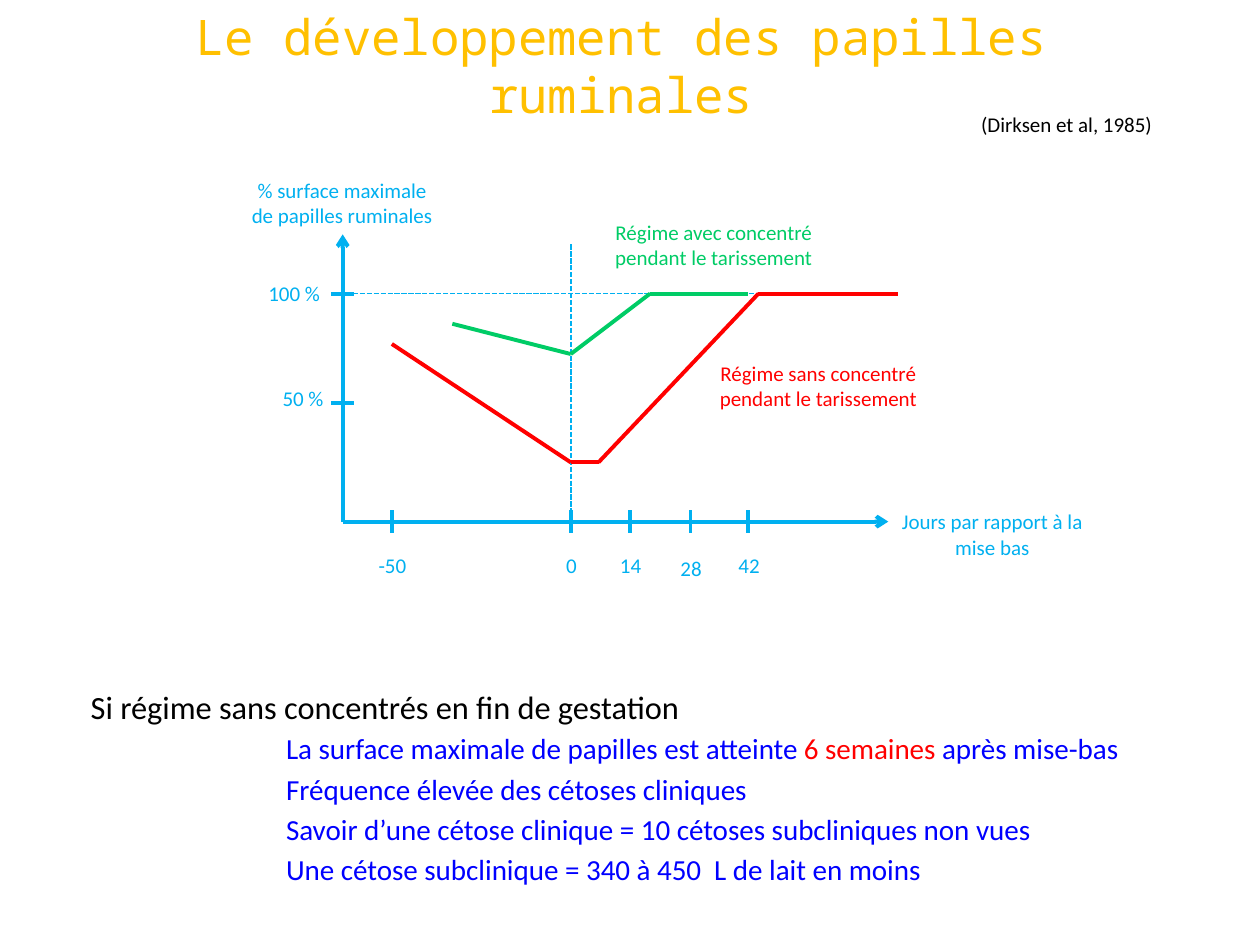
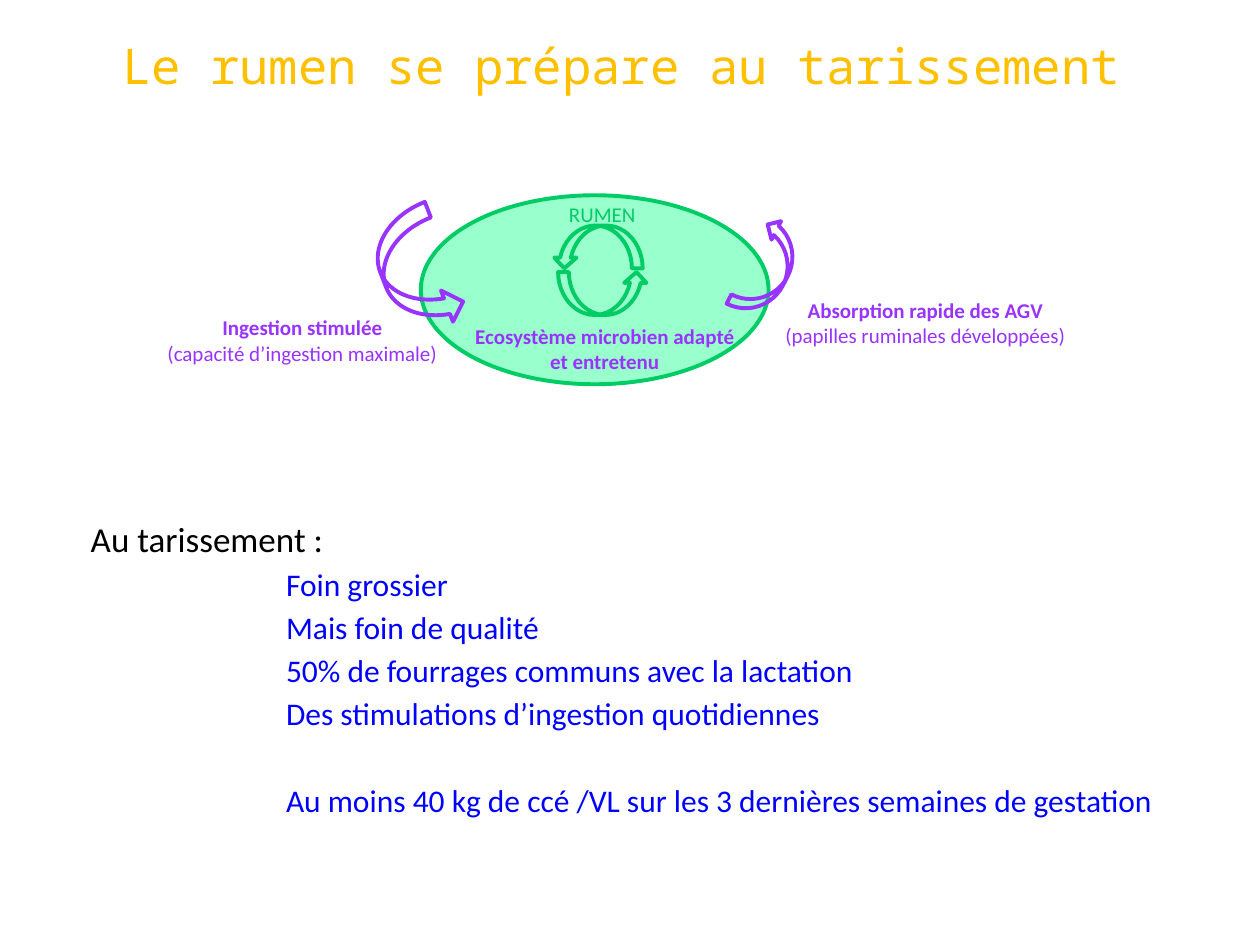
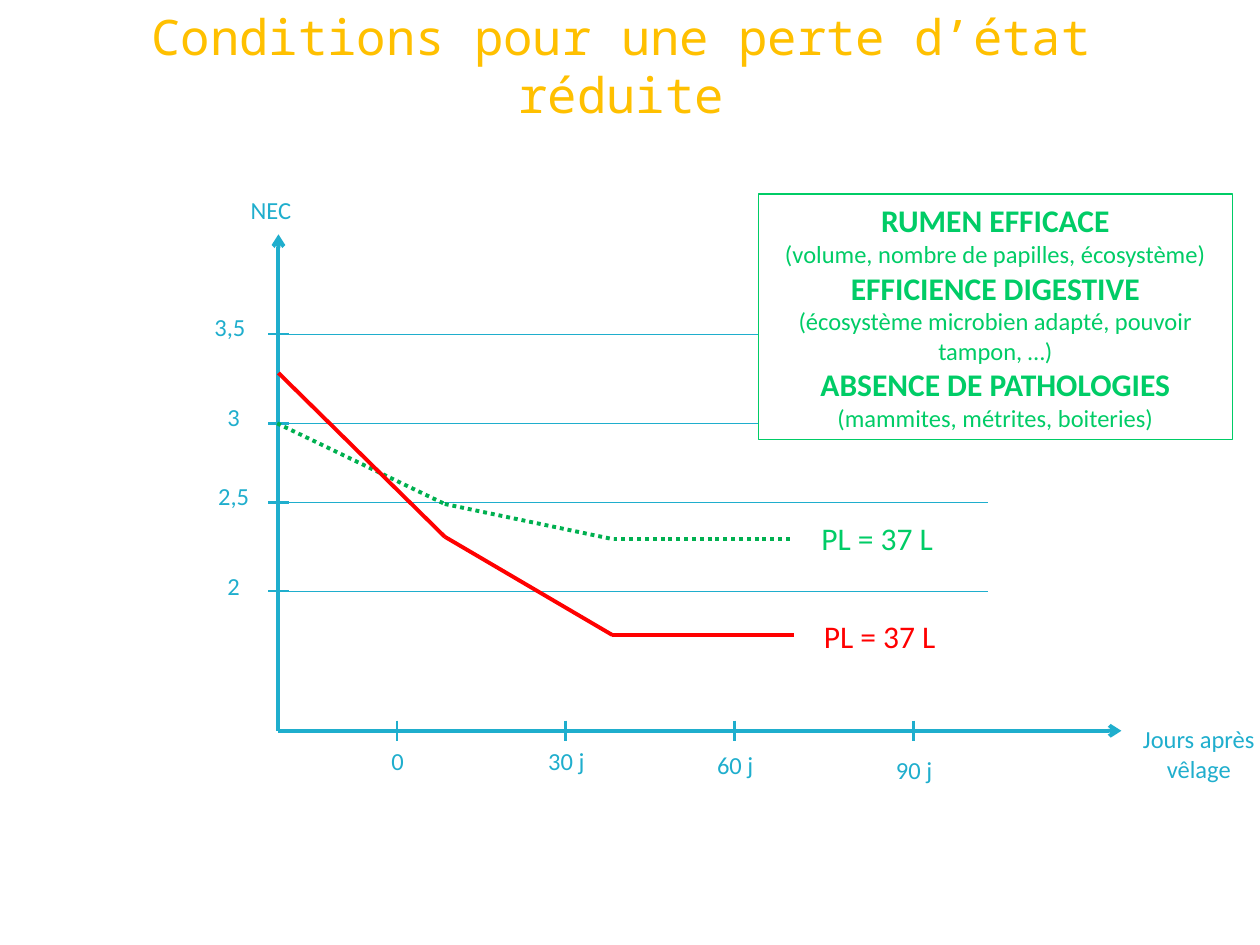
"""Builds three slides on rumen preparation and body condition of dairy cows."""
from lxml import etree
from pptx import Presentation
from pptx import util as u
from pptx.dml.color import RGBColor
from pptx.enum import dml, shapes, text
from pptx.oxml.ns import qn

PX = 9144
SLIDE_SIZE = (1000, 750)
TITLE_BOX = (43, 13, 900, 77)
TITLE_FONT, BODY_FONT = "Noto Sans Mono", "Calibri"
GOLD, BLACK, WHITE = "FFC000", "000000", "FFFFFF"
SKY, TEAL, BLUE, RED = "00B0F0", "1FAECD", "0000FF", "FF0000"
GREEN, LEAF, MINT, PURPLE = "00CC66", "00B050", "99FFCC", "9933FF"
DASH, DOT = dml.MSO_LINE.SQUARE_DOT, dml.MSO_LINE.ROUND_DOT
CENTER, LEFT = text.PP_ALIGN.CENTER, text.PP_ALIGN.LEFT
LEVEL_INDENTS = (12, 167)

PAPILLAE = {
    "title": "Le développement des papilles ruminales",
    "body_box": (50, 540, 900, 189),
    "heading": ("Si régime sans concentrés en fin de gestation", 18.5),
    "point_size": 16.6,
    "points": [
        [("La surface maximale de papilles est atteinte ", BLUE),
         ("6 semaines ", RED), ("après mise-bas", BLUE)],
        [("Fréquence élevée des cétoses cliniques", BLUE)],
        [("Savoir d’une cétose clinique = 10 cétoses subcliniques non vues", BLUE)],
        [("Une cétose subclinique = 340 à 450  L de lait en moins", BLUE)],
    ],
    "gaps": {},
}
PAPILLAE_GRAPH = {
    "color": SKY, "size": 12, "tick_weight": 2.25, "tick_half": 9,
    "origin": (272, 414), "x_end": 705, "y_end": 186,
    "x_ticks": [("-50", 311, 434), ("0", 453, 434), ("14", 500, 434),
                ("28", 548, 436), ("42", 594, 434)],
    "y_ticks": [("100 %", 233, 233, 218), ("50 %", 320, 240, 301)],
    "guides": [((453, 194), (453, 405)), ((280, 233), (673, 233))],
    "guide_style": (1, DASH),
    "curves": [
        (RED, None, [(311, 273), (453, 367), (475, 367), (602, 233), (713, 233)]),
        (GREEN, None, [(359, 257), (453, 281), (516, 233), (594, 233)]),
    ],
    "labels": [
        ("(Dirksen et al, 1985)", (689, 84, 315, 30), 12, BLACK, CENTER),
        ("% surface maximale de papilles ruminales", (189, 136, 165, 50), 12, SKY, CENTER),
        ("Jours par rapport à la mise bas", (705, 399, 165, 50), 12, SKY, CENTER),
        ("Régime sans concentré pendant le tarissement", (555, 281, 189, 50), 12, RED, CENTER),
        ("Régime avec concentré pendant le tarissement", (472, 169, 189, 50), 12, GREEN, CENTER),
    ],
}

RUMEN = {
    "title": "Le rumen se prépare au tarissement",
    "body_box": (50, 406, 900, 323),
    "heading": ("Au tarissement :", 20),
    "point_size": 18,
    "points": [[(line, BLUE)] for line in (
        "Foin grossier",
        "Mais foin de qualité",
        "50% de fourrages communs avec la lactation",
        "Des stimulations d’ingestion quotidiennes",
        "Au moins 40 kg de ccé /VL sur les 3 dernières semaines de gestation",
    )],
    "gaps": {4: 28},
}
RUMEN_OVAL = (334, 155, 276, 150)
UP, SIDE = shapes.MSO_SHAPE.CURVED_UP_ARROW, shapes.MSO_SHAPE.CURVED_LEFT_ARROW
FLOW_ARROWS = [
    (SIDE, (593, 174, 33, 79), 207.4, True, PURPLE, 0.5),
    (UP, (281, 189, 98, 53), 69, False, PURPLE, 0.5),
    (UP, (443, 216, 71, 34), 0, False, GREEN, 0.518),
    (UP, (439, 179, 71, 34), 180, False, GREEN, 0.518),
]
RUMEN_CAPTIONS = [
    ((419, 155, 118, 30), GREEN, [("RUMEN", False)]),
    ((608, 231, 253, 50), PURPLE,
     [("Absorption rapide des AGV", True), ("(papilles ruminales développées)", False)]),
    ((122, 245, 236, 50), PURPLE,
     [("Ingestion stimulée", True), ("(capacité d’ingestion maximale)", False)]),
    ((362, 252, 236, 50), PURPLE, [("Ecosystème microbien adapté et entretenu", True)]),
]

CONDITION_TITLE = "Conditions pour une perte d’état réduite"
CONDITION_GRAPH = {
    "color": TEAL, "size": 14, "tick_weight": 1.5, "tick_half": 8,
    "origin": (221, 580), "x_end": 890, "y_end": 186,
    "x_ticks": [("0", 315, 587), ("30 j", 449, 587), ("60 j", 583, 590), ("90 j", 725, 594)],
    "y_ticks": [("3,5", 265, 182, 243), ("3", 336, 185, 314),
                ("2,5", 399, 185, 377), ("2", 469, 185, 448)],
    "guides": [((left, y), (left + 559, y))
               for left, y in ((221, 265), (221, 336), (225, 399), (225, 469))],
    "guide_style": (0.25, DOT),
    "curves": [
        (LEAF, DOT, [(220, 336), (353, 400), (487, 428), (627, 428)]),
        (RED, None, [(221, 296), (353, 426), (486, 504), (630, 504)]),
    ],
    "labels": [
        ("NEC", (180, 150, 70, 34), 14, TEAL, CENTER),
        ("Jours après vêlage", (875, 570, 153, 57), 14, TEAL, CENTER),
        ("PL = 37 L", (642, 407, 148, 40), 18, GREEN, CENTER and LEFT),
        ("PL = 37 L", (644, 485, 148, 40), 18, RED, LEFT),
    ],
}
CONDITION_GRAPH["labels"][2] = ("PL = 37 L", (642, 407, 148, 40), 18, GREEN, LEFT)
FACTORS_BOX = (602, 154, 376, 195)
FACTORS = [
    ("RUMEN EFFICACE", "(volume, nombre de papilles, écosystème)"),
    ("EFFICIENCE DIGESTIVE", "(écosystème microbien adapté, pouvoir tampon, …)"),
    ("ABSENCE DE PATHOLOGIES", "(mammites, métrites, boiteries)"),
]


def rgb(code):
    """Turns a hex string into a colour."""
    return RGBColor.from_string(code)


def emu(lengths):
    """Scales px lengths to EMU."""
    return [u.Emu(length * PX) for length in lengths]


def apply(target, **values):
    """Sets several attributes of one object."""
    for key, value in values.items():
        setattr(target, key, value)


def move(holder, box):
    """Places a placeholder on a px box."""
    apply(holder, **dict(zip(("left", "top", "width", "height"), emu(box))))


def add_run(paragraph, words, size, color, bold=False, font=BODY_FONT):
    """Adds one formatted run to a paragraph."""
    run = paragraph.add_run()
    run.text = words
    apply(run.font, name=font, size=u.Pt(size), bold=bold)
    run.font.color.rgb = rgb(color)


def write(frame, lines, align=CENTER):
    """Fills a growing text frame with (words, size, color, bold) lines."""
    apply(frame, word_wrap=True, auto_size=text.MSO_AUTO_SIZE.SHAPE_TO_FIT_TEXT)
    for index, line in enumerate(lines):
        paragraph = frame.add_paragraph() if index else frame.paragraphs[0]
        paragraph.alignment = align
        add_run(paragraph, *line)


def add_label(slide, box, lines, align=CENTER):
    """Adds a text box."""
    write(slide.shapes.add_textbox(*emu(box)).text_frame, lines, align)


def add_line(slide, start, end, color, weight, dash=None, arrow=False):
    """Draws a straight connector."""
    line = slide.shapes.add_connector(shapes.MSO_CONNECTOR.STRAIGHT, *emu(start + end))
    line.line.color.rgb = rgb(color)
    apply(line.line, width=u.Pt(weight), dash_style=dash)
    if arrow:
        etree.SubElement(line.line._get_or_add_ln(), qn("a:tailEnd"), type="arrow")
    etree.SubElement(line._element.spPr, qn("a:effectLst"))


def add_outlined(slide, kind, box, color, weight, fill=None):
    """Adds a preset shape with a coloured outline."""
    shape = slide.shapes.add_shape(kind, *emu(box))
    shape.shadow.inherit = False
    shape.line.color.rgb = rgb(color)
    shape.line.width = u.Pt(weight)
    if fill:
        shape.fill.solid()
        shape.fill.fore_color.rgb = rgb(fill)
    else:
        shape.fill.background()
    return shape


def add_slide(deck, layout, title):
    """Adds a slide with the shared title style."""
    slide = deck.slides.add_slide(deck.slide_layouts[layout])
    move(slide.shapes.title, TITLE_BOX)
    frame = slide.shapes.title.text_frame
    apply(frame, word_wrap=True, auto_size=text.MSO_AUTO_SIZE.NONE,
          vertical_anchor=text.MSO_ANCHOR.MIDDLE)
    frame.paragraphs[0].alignment = CENTER
    add_run(frame.paragraphs[0], title, 28, GOLD, font=TITLE_FONT)
    return slide


def add_body_slide(deck, content):
    """Adds a slide whose body holds a heading and indented points."""
    slide = add_slide(deck, 1, content["title"])
    body = slide.placeholders[1]
    move(body, content["body_box"])
    frame = body.text_frame
    frame.auto_size = text.MSO_AUTO_SIZE.NONE
    heading, heading_size = content["heading"]
    for index, runs in enumerate([[(heading, BLACK)]] + content["points"]):
        level = min(index, 1)
        paragraph = frame.add_paragraph() if index else frame.paragraphs[0]
        properties = paragraph._p.get_or_add_pPr()
        apply(paragraph, level=level)
        properties.set("marL", str(LEVEL_INDENTS[level] * PX))
        properties.set("indent", "0")
        etree.SubElement(properties, qn("a:buNone"))
        paragraph.space_before = u.Pt(content["gaps"].get(index - 1, 3) if index else 0)
        for words, color in runs:
            add_run(paragraph, words, content["point_size"] if level else heading_size, color)
    return slide


def draw_graph(slide, graph):
    """Draws guides, axes, ticks, curves and labels."""
    color, size, half = graph["color"], graph["size"], graph["tick_half"]
    x0, y0 = graph["origin"]
    for start, end in graph["guides"]:
        add_line(slide, start, end, color, *graph["guide_style"])
    for end in ((graph["x_end"], y0), (x0, graph["y_end"])):
        add_line(slide, (x0, y0), end, color, 2.25, arrow=True)
    ticks = [(words, (x, y0 - half), (x, y0 + half), x, top)
             for words, x, top in graph["x_ticks"]]
    ticks += [(words, (x0 - half, y), (x0 + half, y), middle, top)
              for words, y, middle, top in graph["y_ticks"]]
    for words, start, end, middle, top in ticks:
        add_line(slide, start, end, color, graph["tick_weight"])
        add_label(slide, (middle - 31, top, 63, 2 * size + 6), [(words, size, color)])
    for curve_color, dash, points in graph["curves"]:
        for start, end in zip(points, points[1:]):
            add_line(slide, start, end, curve_color, 2.25, dash)
    for words, box, label_size, label_color, align in graph["labels"]:
        add_label(slide, box, [(words, label_size, label_color)], align)


def draw_rumen(slide):
    """Draws the rumen with its flows and captions."""
    add_outlined(slide, shapes.MSO_SHAPE.OVAL, RUMEN_OVAL, GREEN, 2.25, MINT)
    for kind, box, angle, flipped, color, head in FLOW_ARROWS:
        arrow = add_outlined(slide, kind, box, color, 2.25)
        arrow.rotation = angle
        arrow.adjustments[1] = head
        if flipped:
            arrow._element.spPr.xfrm.set("flipH", "1")
    for box, color, lines in RUMEN_CAPTIONS:
        add_label(slide, box, [(words, 12, color, bold) for words, bold in lines])


def draw_factors(slide):
    """Adds the framed list of success factors."""
    frame = add_outlined(slide, shapes.MSO_SHAPE.RECTANGLE, FACTORS_BOX, GREEN, 0.75, WHITE)
    lines = []
    for factor, detail in FACTORS:
        lines += [(factor, 18, GREEN, True), (detail, 14, GREEN)]
    write(frame.text_frame, lines)


def main():
    """Builds and saves the presentation."""
    deck = Presentation()
    deck.slide_width, deck.slide_height = emu(SLIDE_SIZE)
    draw_graph(add_body_slide(deck, PAPILLAE), PAPILLAE_GRAPH)
    draw_rumen(add_body_slide(deck, RUMEN))
    condition = add_slide(deck, 5, CONDITION_TITLE)
    draw_graph(condition, CONDITION_GRAPH)
    draw_factors(condition)
    deck.save("out.pptx")


if __name__ == "__main__":
    main()
